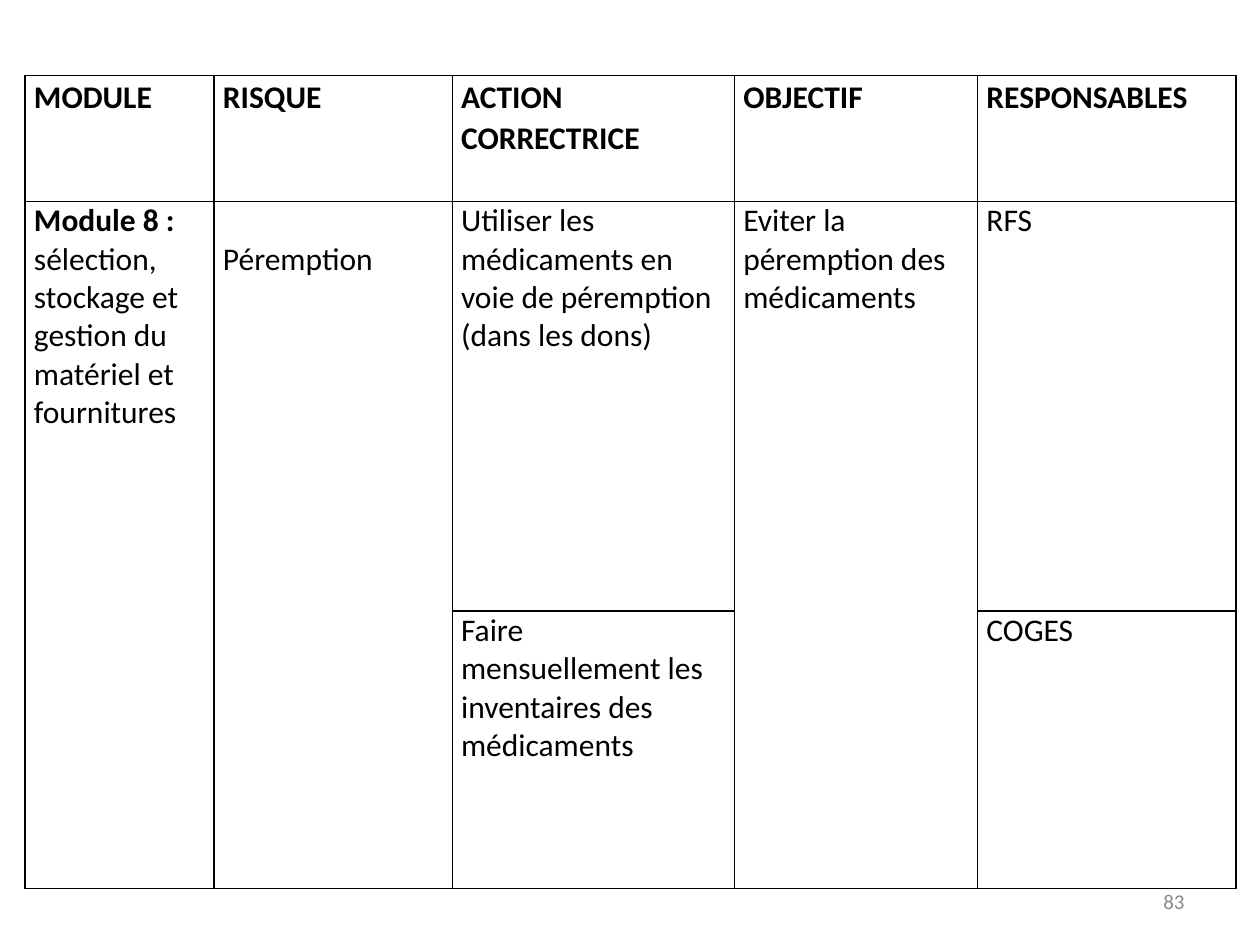
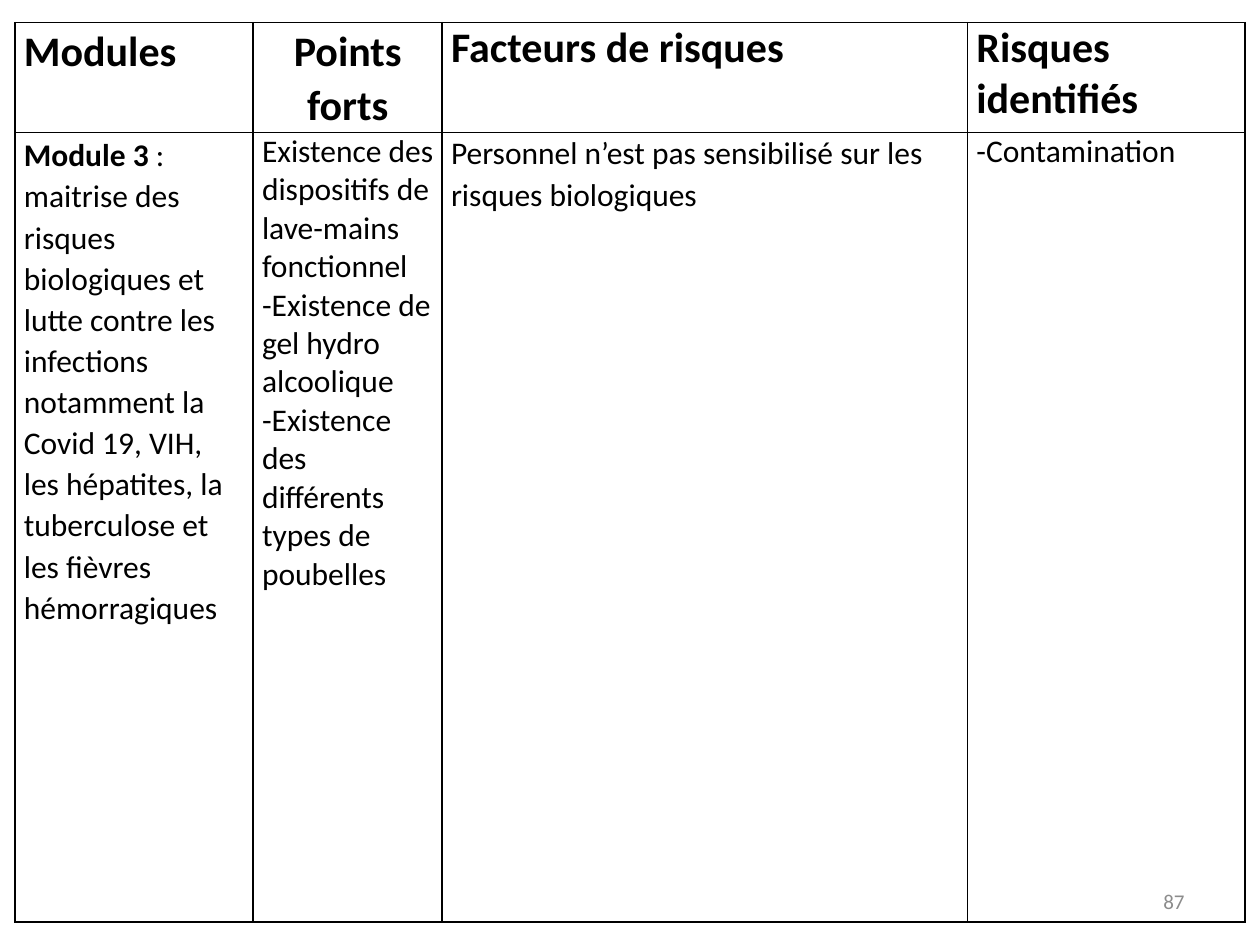
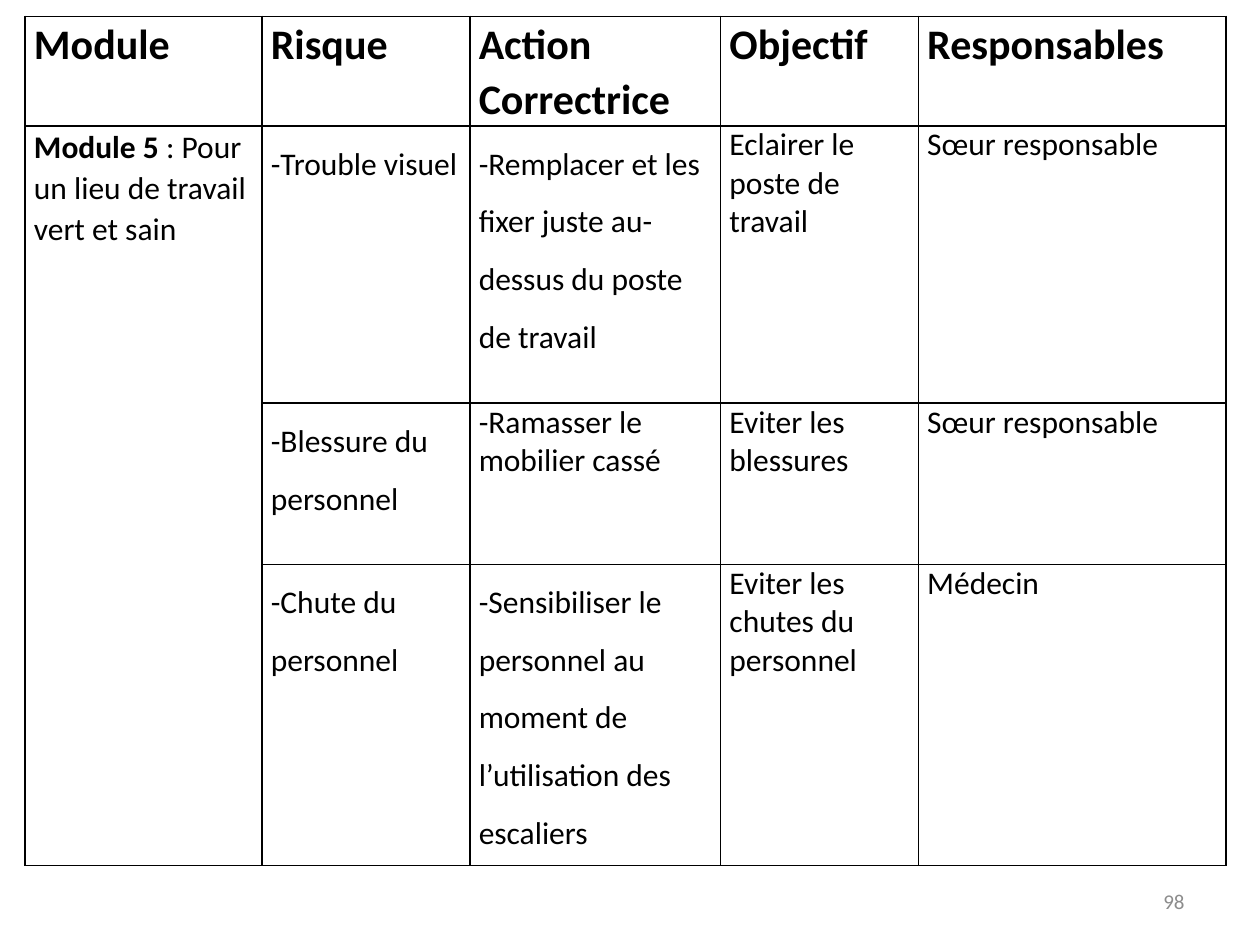
from lxml.etree import SubElement
from pptx import Presentation
from pptx.dml.color import RGBColor
from pptx.enum.text import MSO_ANCHOR, PP_ALIGN
from pptx.oxml.ns import qn
from pptx.util import Inches, Pt

COLORS = {"text": "000000", "border": "000000", "cell": "FFFFFF", "number": "8C8C8C"}
FONT = "Calibri"

presentation = Presentation()
presentation.slide_width = Inches(10)
presentation.slide_height = Inches(7.5)
unit = presentation.slide_width / 100


def write(frame, text, lead="", size=18, bold=False, color="text", align=PP_ALIGN.LEFT, spacing=1.0):
    frame.word_wrap = True
    for index, line in enumerate(text.split("\n")):
        paragraph = frame.add_paragraph() if index else frame.paragraphs[0]
        paragraph.alignment = align
        paragraph.line_spacing = spacing
        parts = [(line, bold)]
        if lead and index == 0:
            parts.insert(0, (lead, True))
        for content, is_bold in parts:
            run = paragraph.add_run()
            run.text = content
            run.font.name = FONT
            run.font.size = Pt(size)
            run.font.bold = is_bold
            run.font.color.rgb = RGBColor.from_string(COLORS[color])


def style_cell(cell):
    cell.margin_left = cell.margin_right = Inches(0.07)
    cell.margin_top = cell.margin_bottom = 0
    properties = cell._tc.get_or_add_tcPr()
    for side in ("lnL", "lnR", "lnT", "lnB"):
        line = SubElement(properties, qn(f"a:{side}"), w=str(Pt(1)))
        fill = SubElement(line, qn("a:solidFill"))
        SubElement(fill, qn("a:srgbClr"), val=COLORS["border"])
    cell.fill.solid()
    cell.fill.fore_color.rgb = RGBColor.from_string(COLORS["cell"])


HEADER = {"bold": True, "spacing": 1.07}
LARGE = {**HEADER, "size": 24}
LOOSE = {"spacing": 1.5}

tables = [
    {
        "number": "83",
        "origin": (2, 6),
        "columns": [15, 18.9, 22.4, 19.3, 20.5],
        "rows": [10, 32.5, 22],
        "merged": [(1, 0, 2), (1, 1, 2), (1, 3, 2)],
        "cells": [
            [("MODULE", HEADER), ("RISQUE", HEADER), ("ACTION CORRECTRICE", HEADER),
             ("OBJECTIF", HEADER), ("RESPONSABLES", HEADER)],
            [("sélection, stockage et gestion du matériel et fournitures", {"lead": "Module 8 : "}),
             ("Péremption", {"top": 3.05}),
             ("Utiliser les médicaments en voie de péremption (dans les dons)", {}),
             ("Eviter la péremption des médicaments", {}),
             ("RFS", {})],
            [None, None, ("Faire mensuellement les inventaires des médicaments", {}),
             None, ("COGES", {})],
        ],
    },
    {
        "number": "87",
        "origin": (1.2, 1.8),
        "columns": [18.9, 15, 41.7, 22],
        "rows": [8.7, 62.7],
        "merged": [],
        "cells": [
            [("Modules", LARGE), ("Points forts", {**LARGE, "align": PP_ALIGN.CENTER}),
             ("Facteurs de risques", {**LARGE, "spacing": 1.0}),
             ("Risques identifiés", {**LARGE, "spacing": 1.0})],
            [(" : maitrise des risques biologiques et lutte contre les infections notamment "
              "la Covid 19, VIH, les hépatites, la tuberculose et les fièvres hémorragiques",
              {"lead": "Module 3", "spacing": 1.07, "top": 0.15}),
             ("Existence des dispositifs de lave-mains fonctionnel\n"
              "-Existence de gel hydro alcoolique\n"
              "-Existence des différents types de poubelles", {}),
             ("Personnel n’est pas sensibilisé sur les risques biologiques", {"spacing": 1.07}),
             ("-Contamination", {})],
        ],
    },
    {
        "number": "98",
        "origin": (2, 1.3),
        "columns": [18.8, 16.5, 19.9, 15.7, 24.4],
        "rows": [8.7, 22, 12.8, 23.9],
        "merged": [(1, 0, 3)],
        "cells": [
            [("Module", LARGE), ("Risque", LARGE), ("Action Correctrice", LARGE),
             ("Objectif", LARGE), ("Responsables", LARGE)],
            [(": Pour un lieu de travail vert et sain", {"lead": "Module 5 ", "spacing": 1.07}),
             ("-Trouble visuel", LOOSE),
             ("-Remplacer et les fixer juste au-dessus du poste de travail", LOOSE),
             ("Eclairer le poste de travail", {}),
             ("Sœur responsable", {})],
            [None, ("-Blessure du personnel", LOOSE), ("-Ramasser le mobilier cassé", {}),
             ("Eviter les blessures", {}), ("Sœur responsable", {})],
            [None, ("-Chute du personnel", LOOSE),
             ("-Sensibiliser le personnel au moment de l’utilisation des escaliers", LOOSE),
             ("Eviter les chutes du personnel", {}), ("Médecin", {})],
        ],
    },
]

for content in tables:
    slide = presentation.slides.add_slide(presentation.slide_layouts[6])
    columns, rows = content["columns"], content["rows"]
    left, top = content["origin"]
    area = [int(length * unit) for length in (left, top, sum(columns), sum(rows))]
    table = slide.shapes.add_table(len(rows), len(columns), *area).table
    table.first_row = False
    table.horz_banding = False
    for column, width in zip(table.columns, columns):
        column.width = int(width * unit)
    for row, height in zip(table.rows, rows):
        row.height = int(height * unit)
    for cell in table.iter_cells():
        style_cell(cell)
    for row, column, count in content["merged"]:
        table.cell(row, column).merge(table.cell(row + count - 1, column))

    for row, entries in enumerate(content["cells"]):
        for column, entry in enumerate(entries):
            if entry:
                text, options = entry
                text_format = dict(options)
                cell = table.cell(row, column)
                cell.margin_top = int(text_format.pop("top", 0) * unit)
                write(cell.text_frame, text, **text_format)

    number_area = [int(length * unit) for length in (71.7, 69.5, 23.3, 4)]
    number_box = slide.shapes.add_textbox(*number_area)
    number_box.text_frame.vertical_anchor = MSO_ANCHOR.MIDDLE
    write(number_box.text_frame, content["number"], size=12, color="number", align=PP_ALIGN.RIGHT)

presentation.save("out.pptx")
